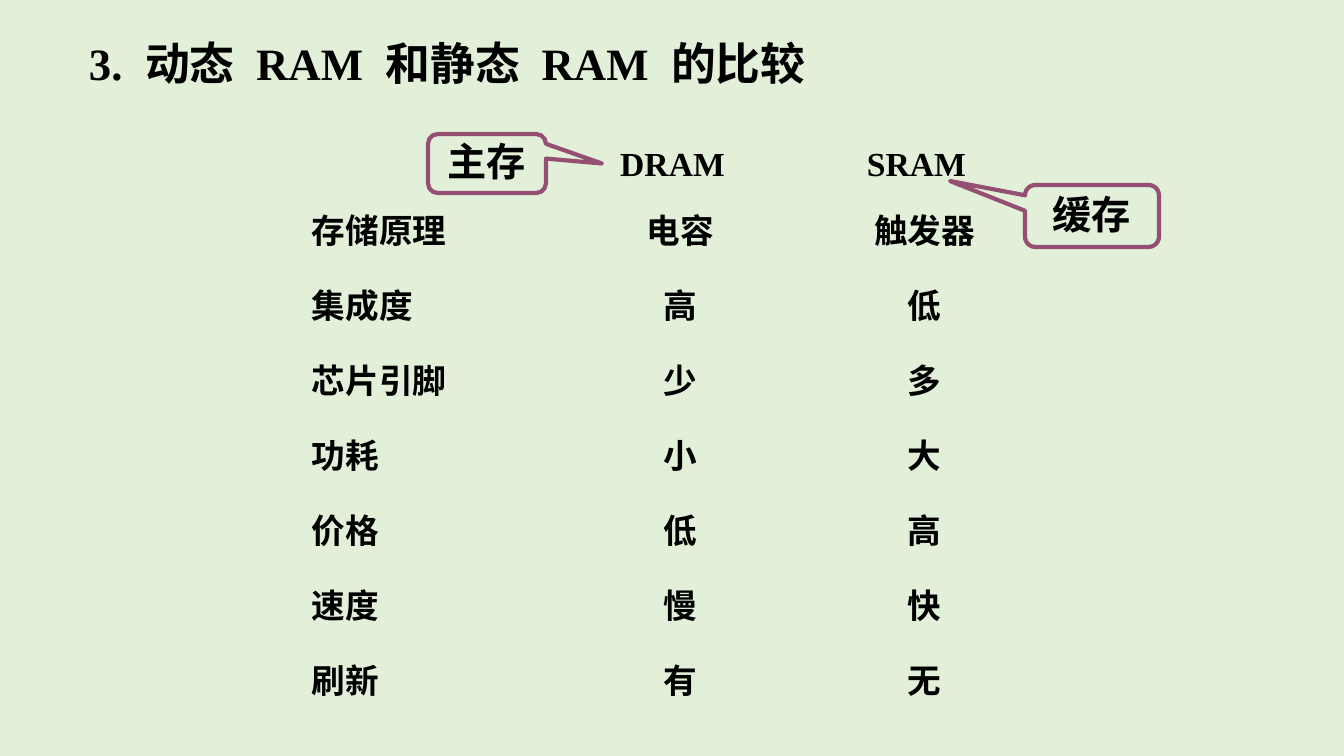
from dataclasses import dataclass

from pptx import Presentation
from pptx.dml.color import RGBColor
from pptx.enum.lang import MSO_LANGUAGE_ID
from pptx.enum.shapes import MSO_SHAPE
from pptx.enum.text import MSO_AUTO_SIZE, PP_ALIGN
from pptx.util import Emu, Pt

CALLOUT = MSO_SHAPE.ROUNDED_RECTANGULAR_CALLOUT
CHINESE = MSO_LANGUAGE_ID.SIMPLIFIED_CHINESE
FIT_TEXT = MSO_AUTO_SIZE.SHAPE_TO_FIT_TEXT
LEFT, CENTER = PP_ALIGN.LEFT, PP_ALIGN.CENTER

EMU_PER_PX = 914400 / 100.8


@dataclass(frozen=True)
class Theme:
    background: RGBColor = RGBColor(0xE2, 0xF0, 0xD9)
    ink: RGBColor = RGBColor(0, 0, 0)
    accent: RGBColor = RGBColor(0x95, 0x4F, 0x72)
    font: str = "Times New Roman"
    title: int = 32
    callout: int = 28
    body: int = 24
    outline: int = 3
    word_gap: int = 8


THEME = Theme()

TITLE = "3. 动态 RAM 和静态 RAM 的比较"
HEADINGS = ["DRAM", "SRAM"]
COMPARISON = [
    ("存储原理", "电容", "触发器"),
    ("集成度", "高", "低"),
    ("芯片引脚", "少", "多"),
    ("功耗", "小", "大"),
    ("价格", "低", "高"),
    ("速度", "慢", "快"),
    ("刷新", "有", "无"),
]


def px(length):
    return Emu(round(length * EMU_PER_PX))


def add_run(paragraph, text, size):
    run = paragraph.add_run()
    run.text = text
    text_format = {"name": THEME.font, "size": Pt(size), "bold": True, "language_id": CHINESE}
    for attribute, value in text_format.items():
        setattr(run.font, attribute, value)
    run.font.color.rgb = THEME.ink
    return run


def add_text_frame(slide, box):
    frame = slide.shapes.add_textbox(*map(px, box)).text_frame
    frame.word_wrap = True
    frame.auto_size = FIT_TEXT
    return frame


def add_label(slide, box, text, size, align=CENTER):
    paragraph = add_text_frame(slide, box).paragraphs[0]
    paragraph.alignment = align
    add_run(paragraph, text, size)


def add_title(slide, box):
    """Sets the title with widened spaces between its words."""
    frame = add_text_frame(slide, box)
    frame.margin_left = px(21)
    paragraph = frame.paragraphs[0]
    first_word, *other_words = TITLE.split()
    add_run(paragraph, first_word, THEME.title)
    for word in other_words:
        gap = add_run(paragraph, " ", THEME.title)
        gap.font._element.set("spc", str(THEME.word_gap * 100))
        add_run(paragraph, word, THEME.title)


def add_comparison(slide, box):
    """Places headings and rows of labels in three columns within the box."""
    left, top, width, height = box
    cell_width, cell_height, row_step = 269, 50, 75
    column_step = (width - cell_width) // 2
    first_row = top + height - cell_height - row_step * (len(COMPARISON) - 1)
    heading_shift = -8

    for column, heading in enumerate(HEADINGS, start=1):
        x = left + column * column_step + heading_shift
        add_label(slide, (x, top, cell_width, cell_height), heading, THEME.body)
    for row, entries in enumerate(COMPARISON):
        for column, entry in enumerate(entries):
            cell = (left + column * column_step, first_row + row * row_step,
                    cell_width, cell_height)
            add_label(slide, cell, entry, THEME.body, CENTER if column else LEFT)


def add_callout(slide, box, text, tip, rise):
    """Draws a callout; tip is its offset from the centre, rise lifts the text."""
    left, top, width, height = box
    bubble = slide.shapes.add_shape(CALLOUT, *map(px, box))
    bubble.shadow.inherit = False
    bubble.fill.background()
    bubble.line.color.rgb = THEME.accent
    bubble.line.width = Pt(THEME.outline)
    bubble.adjustments[0] = tip[0] / width
    bubble.adjustments[1] = tip[1] / height
    text_width, text_height = 104, 57
    text_box = (left + (width - text_width) // 2, top - rise, text_width, text_height)
    add_label(slide, text_box, text, THEME.callout)


def build_comparison_slide(presentation):
    slide = presentation.slides.add_slide(presentation.slide_layouts[6])
    slide.background.fill.solid()
    slide.background.fill.fore_color.rgb = THEME.background
    add_title(slide, (68, 31, 756, 64))
    add_comparison(slide, (302, 138, 757, 567))
    add_callout(slide, (428, 134, 118, 59), "主存", tip=(115, 0), rise=2)
    add_callout(slide, (1025, 185, 134, 62), "缓存", tip=(-142, -35), rise=0)


def main():
    presentation = Presentation()
    presentation.slide_width, presentation.slide_height = px(1344), px(756)
    build_comparison_slide(presentation)
    presentation.save("out.pptx")


if __name__ == "__main__":
    main()
